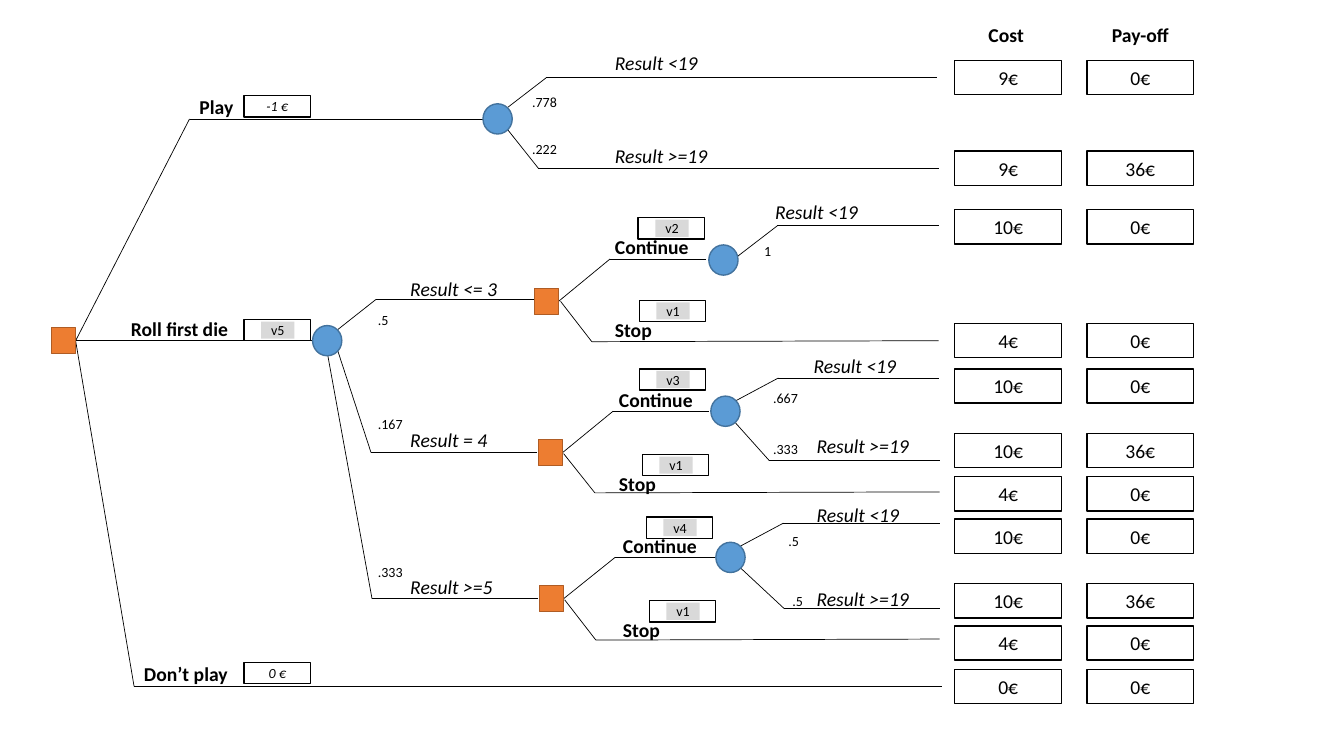
from lxml import etree
from pptx import Presentation
from pptx.dml.color import RGBColor
from pptx.enum import shapes, text
from pptx.oxml.ns import qn
from pptx.util import Inches, Pt

COLORS = {
    "black": "000000",
    "decision": "ED7D31",
    "decision_line": "AF5C24",
    "chance": "5B9BD5",
    "chance_line": "43739E",
    "variable": "D9D9D9",
}

# Each branch runs through its points, left to right.
BRANCHES = [
    [(0.75, 3.38), (1.88, 1.18), (4.79, 1.18)],
    [(0.75, 3.38), (3.1, 3.38)],
    [(0.75, 3.38), (1.33, 6.81), (9.34, 6.81)],
    [(5.03, 1.07), (5.42, 0.77), (9.29, 0.77)],
    [(5.03, 1.28), (5.34, 1.67), (9.31, 1.67)],
    [(3.35, 3.27), (3.73, 2.97), (5.31, 2.97)],
    [(3.35, 3.48), (3.68, 4.49), (5.33, 4.49)],
    [(3.25, 3.52), (3.69, 5.94), (5.34, 5.94)],
    [(5.54, 2.99), (6.05, 2.57), (7, 2.57)],
    [(5.56, 2.99), (5.87, 3.39), (9.31, 3.38)],
    [(5.58, 4.49), (6.08, 4.08), (7.03, 4.08)],
    [(5.59, 4.5), (5.9, 4.89), (9.32, 4.88)],
    [(5.59, 5.94), (6.1, 5.53), (7.1, 5.53)],
    [(5.6, 5.95), (5.91, 6.35), (9.32, 6.34)],
    [(7.32, 2.54), (7.71, 2.24), (9.31, 2.24)],
    [(7.29, 3.98), (7.72, 3.75), (9.31, 3.75)],
    [(7.29, 4.19), (7.63, 4.57), (9.32, 4.57)],
    [(7.34, 5.42), (7.77, 5.19), (9.32, 5.19)],
    [(7.34, 5.63), (7.78, 6.04), (9.32, 6.04)],
]
DECISIONS = [(0.51, 3.25), (5.3, 2.86), (5.34, 4.36), (5.35, 5.81)]
CHANCES = [(4.79, 1.03), (3.1, 3.23), (7.03, 2.43), (7.05, 3.93), (7.1, 5.38)]

CHOICES = [("Play", 1.88, 0.89, 0.54), ("Roll first die", 1.2, 3.09, 1.18),
           ("Don’t play", 1.33, 6.52, 1.04)]
ACTIONS = [("Continue", 6, 2.28), ("Stop", 6, 3.11),
           ("Continue", 6.04, 3.8), ("Stop", 6.04, 4.63),
           ("Continue", 6.08, 5.25), ("Stop", 6.08, 6.08)]
RESULTS = [("Result <19", 6, 0.46), ("Result >=19", 6, 1.38),
           ("Result <= 3", 3.97, 2.7), ("Result = 4", 3.97, 4.2),
           ("Result >=5", 3.97, 5.65), ("Result <19", 7.59, 1.93),
           ("Result <19", 7.97, 3.46), ("Result >=19", 8, 4.26),
           ("Result <19", 8, 4.94), ("Result >=19", 8, 5.77)]
PROBABILITIES = [(".778", 5.18, 0.91), (".222", 5.18, 1.37), (".5", 3.65, 3.07),
                 (".167", 3.65, 4.1), (".333", 3.65, 5.57), ("1", 7.48, 2.38),
                 (".667", 7.57, 3.84), (".333", 7.57, 4.35),
                 (".5", 7.72, 5.26), (".5", 7.76, 5.86)]

FEES = [("-1 €", 2.42, 0.95), ("0 €", 2.42, 6.57)]
VARIABLES = [("v2", 6.33, 2.16), ("v1", 6.34, 2.98), ("v3", 6.34, 3.66),
             ("v1", 6.37, 4.51), ("v4", 6.41, 5.13), ("v1", 6.44, 5.96),
             ("v5", 2.42, 3.17)]
COLUMNS = [("Cost", 9.45, 9.47), ("Pay-off", 10.78, 10.78)]
OUTCOMES = [(0.6, "9€", "0€"), (1.5, "9€", "36€"), (2.08, "10€", "0€"),
            (3.21, "4€", "0€"), (3.66, "10€", "0€"), (4.3, "10€", "36€"),
            (4.73, "4€", "0€"), (5.15, "10€", "0€"), (5.79, "10€", "36€"),
            (6.21, "4€", "0€"), (6.64, "0€", "0€")]


def rgb(name):
    return RGBColor.from_string(COLORS[name])


def write(tf, words, size=14, bold=False, italic=False, center=False,
          middle=False, wrap=True):
    tf.word_wrap = wrap
    tf.vertical_anchor = text.MSO_ANCHOR.MIDDLE if middle else text.MSO_ANCHOR.TOP
    p = tf.paragraphs[0]
    p.alignment = text.PP_ALIGN.CENTER if center else text.PP_ALIGN.LEFT
    r = p.add_run()
    r.text = words
    r.font.name = "Calibri"
    r.font.size = Pt(size)
    r.font.bold = bold
    r.font.italic = italic
    r.font.color.rgb = rgb("black")


def label(s, words, x, y, w, h=0.34, **fmt):
    tf = s.shapes.add_textbox(Inches(x), Inches(y), Inches(w), Inches(h)).text_frame
    write(tf, words, **fmt)


def box(s, x, y, w, h, fill=None, line="black", kind=shapes.MSO_SHAPE.RECTANGLE):
    sp = s.shapes.add_shape(kind, Inches(x), Inches(y), Inches(w), Inches(h))
    sp.shadow.inherit = False
    if fill:
        sp.fill.solid()
        sp.fill.fore_color.rgb = rgb(fill)
    else:
        sp.fill.background()
    if line:
        sp.line.color.rgb = rgb(line)
        sp.line.width = Pt(1)
    else:
        sp.line.fill.background()
    return sp


def branch(s, points):
    for (x1, y1), (x2, y2) in zip(points, points[1:]):
        line = s.shapes.add_connector(shapes.MSO_CONNECTOR.STRAIGHT, Inches(x1),
                                      Inches(y1), Inches(x2), Inches(y2))
        line.line.color.rgb = rgb("black")
        line.line.width = Pt(0.5)
        etree.SubElement(line._element.spPr, qn("a:effectLst"))


def variable(s, name, x, y):
    """Outlined box with a grey field for the name."""
    box(s, x, y, 0.66, 0.21)
    tf = box(s, x + 0.17, y + 0.02, 0.33, 0.17, "variable", None).text_frame
    tf.margin_left = tf.margin_right = tf.margin_top = tf.margin_bottom = 0
    write(tf, name, size=10, center=True, middle=True)


def draw_tree(s):
    for points in BRANCHES:
        branch(s, points)
    for x, y in DECISIONS:
        box(s, x, y, 0.24, 0.26, "decision", "decision_line")
    for x, y in CHANCES:
        box(s, x, y, 0.29, 0.3, "chance", "chance_line", shapes.MSO_SHAPE.OVAL)


def label_tree(s):
    for words, x, y, w in CHOICES:
        label(s, words, x, y, w, bold=True, wrap=False)
    for words, x, y in ACTIONS:
        label(s, words, x, y, 1.49, bold=True)
    for words, x, y in RESULTS:
        label(s, words, x, y, 1.48, italic=True)
    for words, x, y in PROBABILITIES:
        label(s, words, x, y, 0.6, 0.21, size=10, middle=True)
    for words, x, y in FEES:
        write(box(s, x, y, 0.66, 0.21).text_frame, words, size=10,
              italic=True, center=True, middle=True)
    for name, x, y in VARIABLES:
        variable(s, name, x, y)


def list_outcomes(s):
    for i, (heading, heading_x, x) in enumerate(COLUMNS):
        label(s, heading, heading_x, 0.18, 1.06, bold=True, center=True)
        for y, *amounts in OUTCOMES:
            write(box(s, x, y, 1.06, 0.34).text_frame, amounts[i],
                  center=True, middle=True)


def main():
    prs = Presentation()
    prs.slide_width, prs.slide_height = Inches(13.33), Inches(7.5)
    s = prs.slides.add_slide(prs.slide_layouts[6])
    draw_tree(s)
    label_tree(s)
    list_outcomes(s)
    prs.save("out.pptx")


if __name__ == "__main__":
    main()
